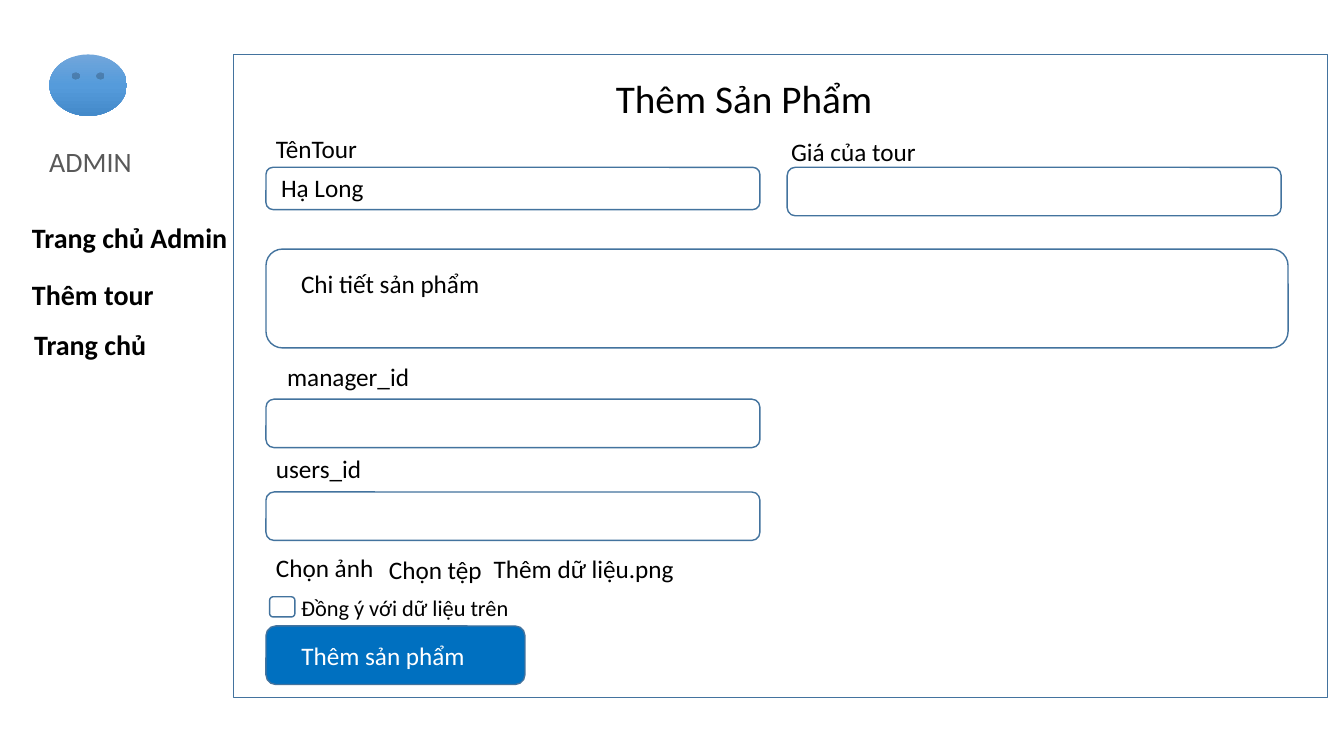
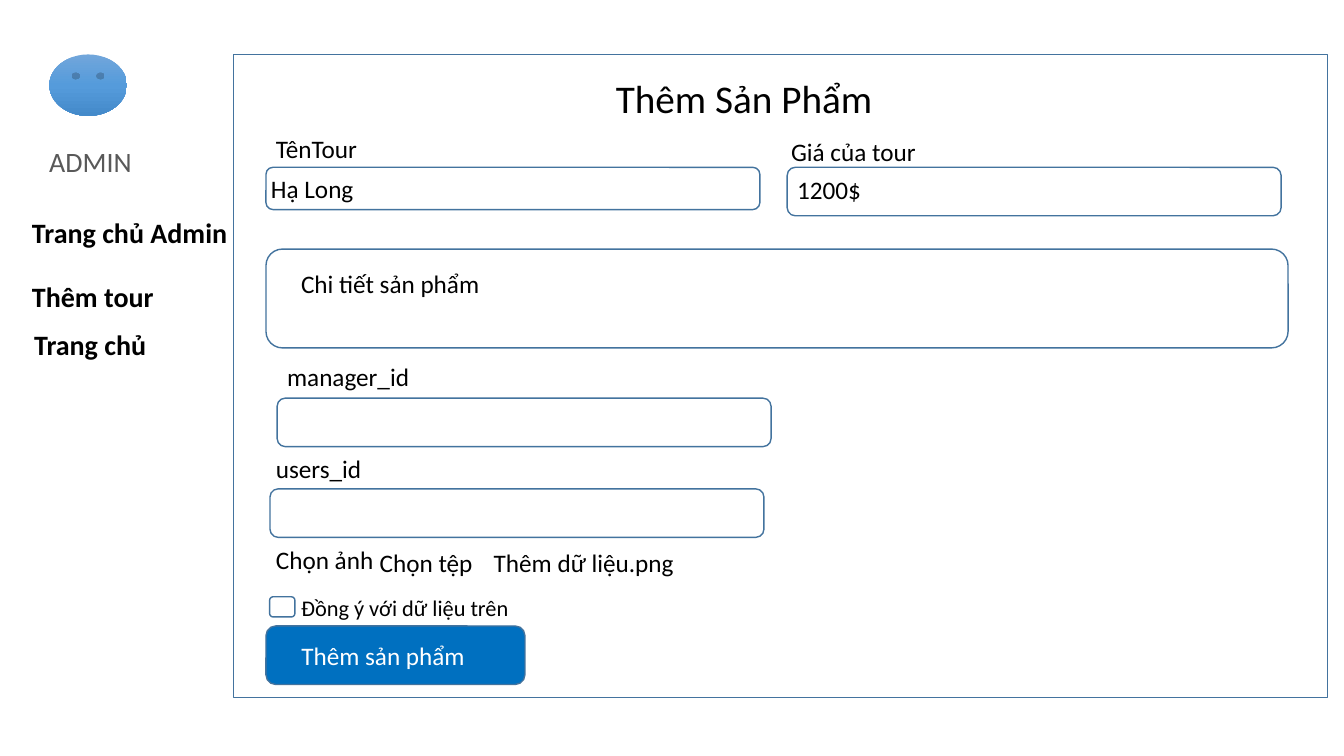
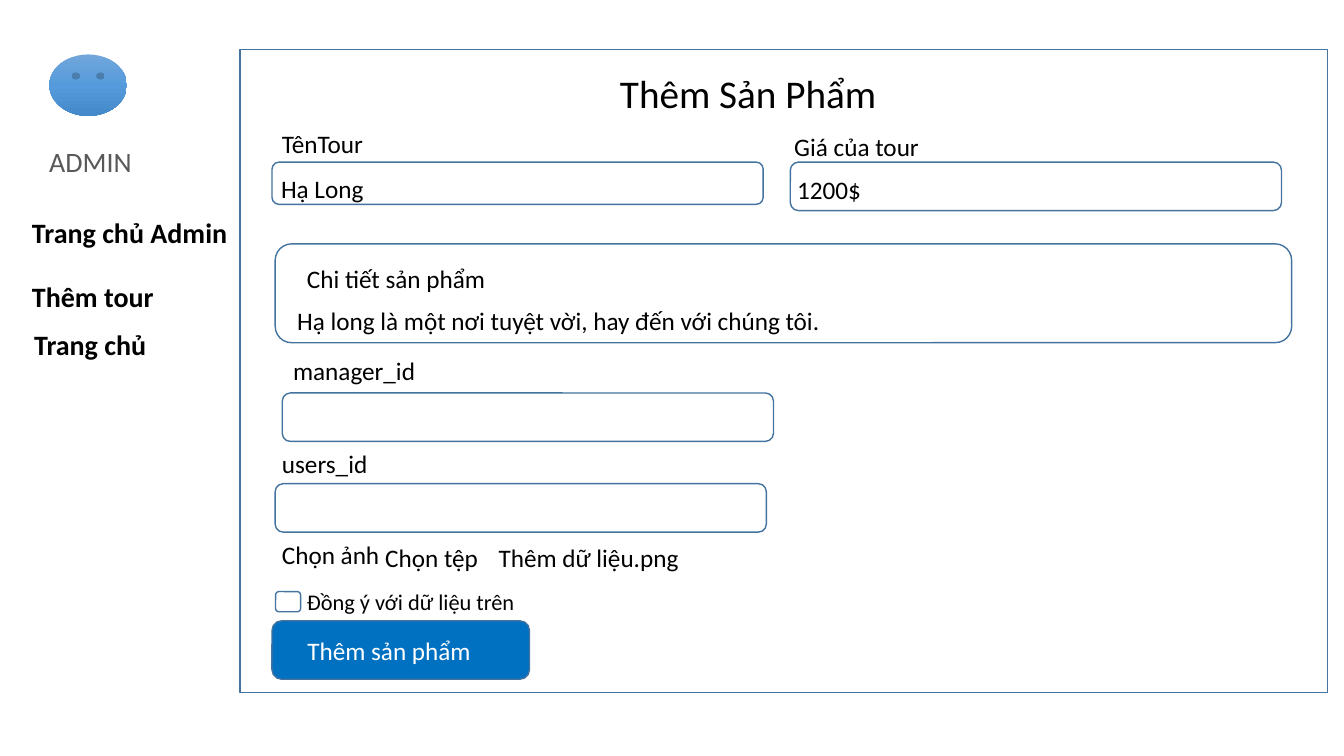
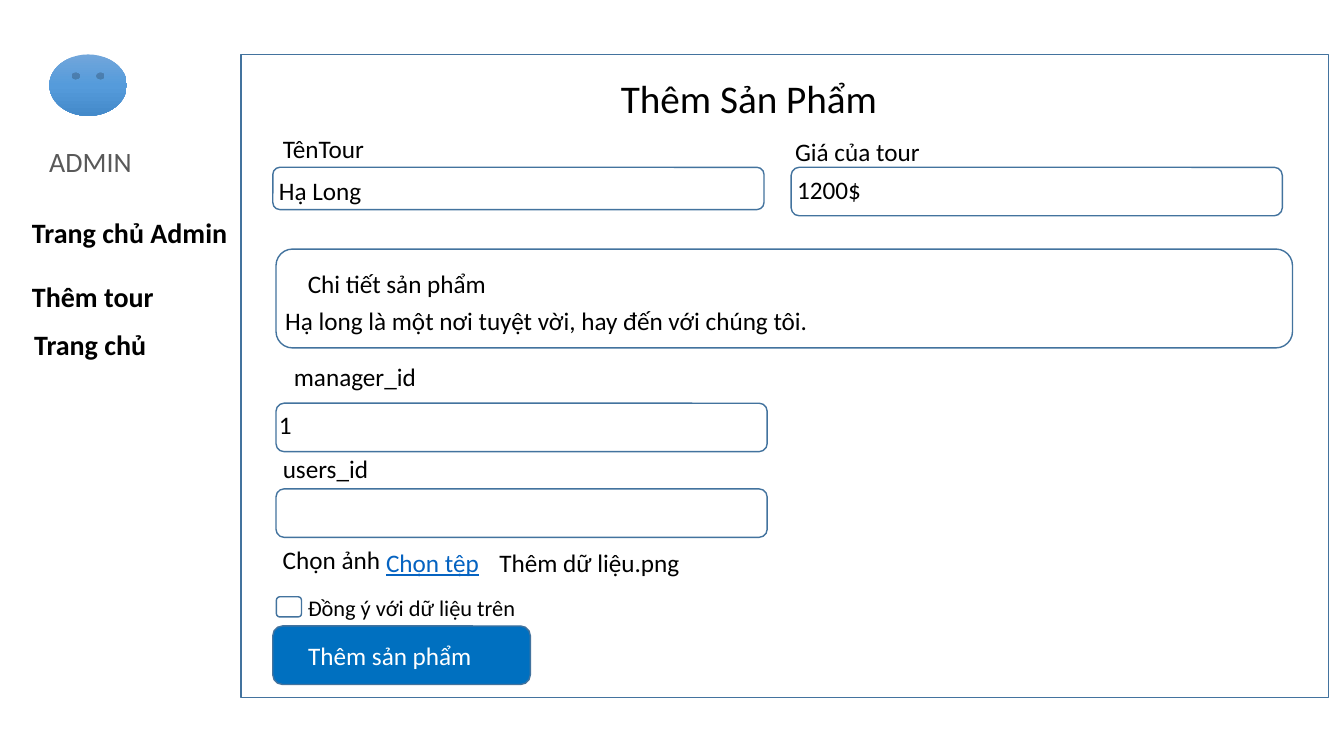
from copy import deepcopy

from pptx import Presentation
from pptx.dml.color import RGBColor
from pptx.enum import shapes, text
from pptx.oxml.ns import qn
from pptx.util import Pt

COLORS = {
    "text": "000000", "muted": "595959", "white": "FFFFFF",
    "border": "43739E", "button": "0070C0", "link": "0563C1",
}
AVATAR_STOPS = ((0, "71A6DB"), (0.5, "559BDB"), (1, "448ACA"))
FONT = "Calibri"
FRAME_WIDTH, FRAME_HEIGHT = 781.2, 459.4
FIELD_WIDTH, FIELD_HEIGHT = 352.8, 34.6
SHAPE = shapes.MSO_SHAPE


def write(sp, words, size=18, color="text", bold=False, underline=False,
          anchor=text.MSO_ANCHOR.TOP, inset=7.2):
    """Put one left-aligned line of formatted text into a shape."""
    tf = sp.text_frame
    tf.word_wrap = True
    tf.auto_size = text.MSO_AUTO_SIZE.NONE
    tf.vertical_anchor = anchor
    tf.margin_left, tf.margin_right = Pt(inset), Pt(7.2)
    tf.margin_top = tf.margin_bottom = Pt(3.6)
    p = tf.paragraphs[0]
    p.alignment = text.PP_ALIGN.LEFT
    r = p.add_run()
    r.text = words
    r.font.name, r.font.size = FONT, Pt(size)
    r.font.bold, r.font.underline = bold, underline
    r.font.color.rgb = RGBColor.from_string(COLORS[color])


class Deck:
    """The style, the current slide and the place of its form frame."""

    def __init__(self):
        self.prs = Presentation()
        self.prs.slide_width, self.prs.slide_height = Pt(960), Pt(540)

    def new_slide(self, left, top, width):
        self.s = self.prs.slides.add_slide(self.prs.slide_layouts[5])
        self.left, self.top, self.scale = left, top, width / FRAME_WIDTH

    def in_frame(self, x, y, w, h):
        """Turn frame coordinates into slide coordinates."""
        return (self.left + x * self.scale, self.top + y, w * self.scale, h)

    def shape(self, kind, box):
        sp = self.s.shapes.add_shape(kind, *map(Pt, box))
        sp.shadow.inherit = False
        return sp

    def box(self, x, y, w=FIELD_WIDTH, h=FIELD_HEIGHT, fill="white",
            kind=SHAPE.ROUNDED_RECTANGLE):
        sp = self.shape(kind, self.in_frame(x, y, w, h))
        sp.fill.solid()
        sp.fill.fore_color.rgb = RGBColor.from_string(COLORS[fill])
        sp.line.color.rgb = RGBColor.from_string(COLORS["border"])
        sp.line.width = Pt(1)
        return sp

    def text(self, words, x, y, w=180, h=29, **fmt):
        sp = self.s.shapes.add_textbox(*map(Pt, (x, y, w, h)))
        write(sp, words, **fmt)

    def label(self, words, x, y, w=150, **fmt):
        self.text(words, *self.in_frame(x, y, w, 29), **fmt)

    def title(self, words, x, y, w, h):
        sp = self.s.shapes.title
        box = self.in_frame(x, y, w, h)
        sp.left, sp.top, sp.width, sp.height = map(Pt, box)
        write(sp, words, size=28)
        # Bring the title in front of the frame
        self.s.shapes._spTree.append(sp._element)

    def avatar(self, *box):
        sp = self.shape(SHAPE.SMILEY_FACE, box)
        sp.line.fill.background()
        sp.fill.gradient()
        sp.fill.gradient_angle = 270
        stops = sp._element.spPr.find(".//" + qn("a:gsLst"))
        stops.append(deepcopy(stops[0]))
        for stop, (position, color) in zip(sp.fill.gradient_stops, AVATAR_STOPS):
            stop.position = position
            stop.color.rgb = RGBColor.from_string(color)

    def sidebar(self, menu_tops):
        self.text("ADMIN", 28, 100, 88, 31, size=20, color="muted")
        self.avatar(35.3, 38.9, 55.4, 43.9)
        items = ("Trang chủ Admin", "Thêm tour", "Trang chủ")
        for words, x, y in zip(items, (15.8, 15.8, 17.3), menu_tops):
            self.text(words, x, y, 158, 35, size=20, bold=True)

    def form(self, details_x, manager, users, image_y, file, png_y, file_fmt):
        # Frame and heading
        self.box(0, 0, FRAME_WIDTH, FRAME_HEIGHT, kind=SHAPE.RECTANGLE)
        self.title("Thêm Sản Phẩm", 265.7, 10.8, 236.9, 50.4)

        # Input fields
        self.box(23, 80.6, h=30.2)
        self.box(395.3, 80.6)
        self.box(details_x, 139, 730.1, 70.6)
        self.box(*manager)
        self.box(*users)

        # Field labels
        self.label("TênTour", 23, 52.6)
        self.label("Giá của tour", 391, 54.7)
        self.label("Chi tiết sản phẩm", 41, 149, 180)
        self.label("manager_id", 31, 215.3)
        self.label("users_id", 23, 281.5)

        # File picker
        self.label("Chọn ảnh", 23, image_y, 92)
        self.label("Chọn tệp", *file, 88, **file_fmt)
        self.label("Thêm dữ liệu.png", 178.6, png_y, 180)

        # Consent and submit button
        self.box(25.6, 387.4, 18, 14.4)
        self.label("Đồng ý với dữ liệu trên", 41, 381.6, 200, size=16)
        button = self.box(23, 408.2, 185, 41.8, fill="button")
        write(button, "Thêm sản phẩm", color="white", inset=23.2,
              anchor=text.MSO_ANCHOR.MIDDLE)


# Layout of the form and menu on each slide
FIRST = dict(details_x=23, manager=(23, 246.2), users=(23, 312.5), image_y=352.1,
             file=(103.7, 353.5), png_y=352.8, file_fmt={})
SECOND = dict(FIRST, manager=(31, 245.5), users=(25.9, 310.3), image_y=346.3,
              file=(97.2, 348.5), png_y=348.5)
THIRD = dict(SECOND, details_x=25.3, manager=(30.4, 245.5), users=(25.3, 310.3))
FOURTH = dict(THIRD, manager=(25.3, 249.1),
              file_fmt=dict(color="link", underline=True))
MENU_FIRST = (154.1, 194.4, 230.4)
MENU = (150.5, 195.8, 230.4)

TOUR, PRICE = "Hạ Long", ("1200$", 562.3, 121)
DETAILS = "Hạ long là một nơi tuyệt vời, hay đến với chúng tôi."

# Frame (left, top, width), form, menu, entered values (text, left, top)
SLIDES = (
    ((167, 38.9, 781.2), FIRST, MENU_FIRST, [(TOUR, 193.7, 119.5)]),
    ((167, 38.9, 781.2), SECOND, MENU, [(TOUR, 186.5, 120.2), PRICE]),
    ((171.4, 35.2, 776.9), THIRD, MENU,
     [(TOUR, 193.7, 120.2), PRICE, (DETAILS, 205.2, 214.6)]),
    ((172, 38.9, 776.9), FOURTH, MENU,
     [(TOUR, 192.2, 121.7), PRICE, (DETAILS, 196.6, 214.6), ("1", 192.2, 288.7)]),
)


def main():
    deck = Deck()
    for frame, form, menu, values in SLIDES:
        deck.new_slide(*frame)
        deck.form(**form)
        deck.sidebar(menu)
        for words, x, y in values:
            deck.text(words, x, y, 628 if words == DETAILS else 258)
    deck.prs.save("out.pptx")


if __name__ == "__main__":
    main()
